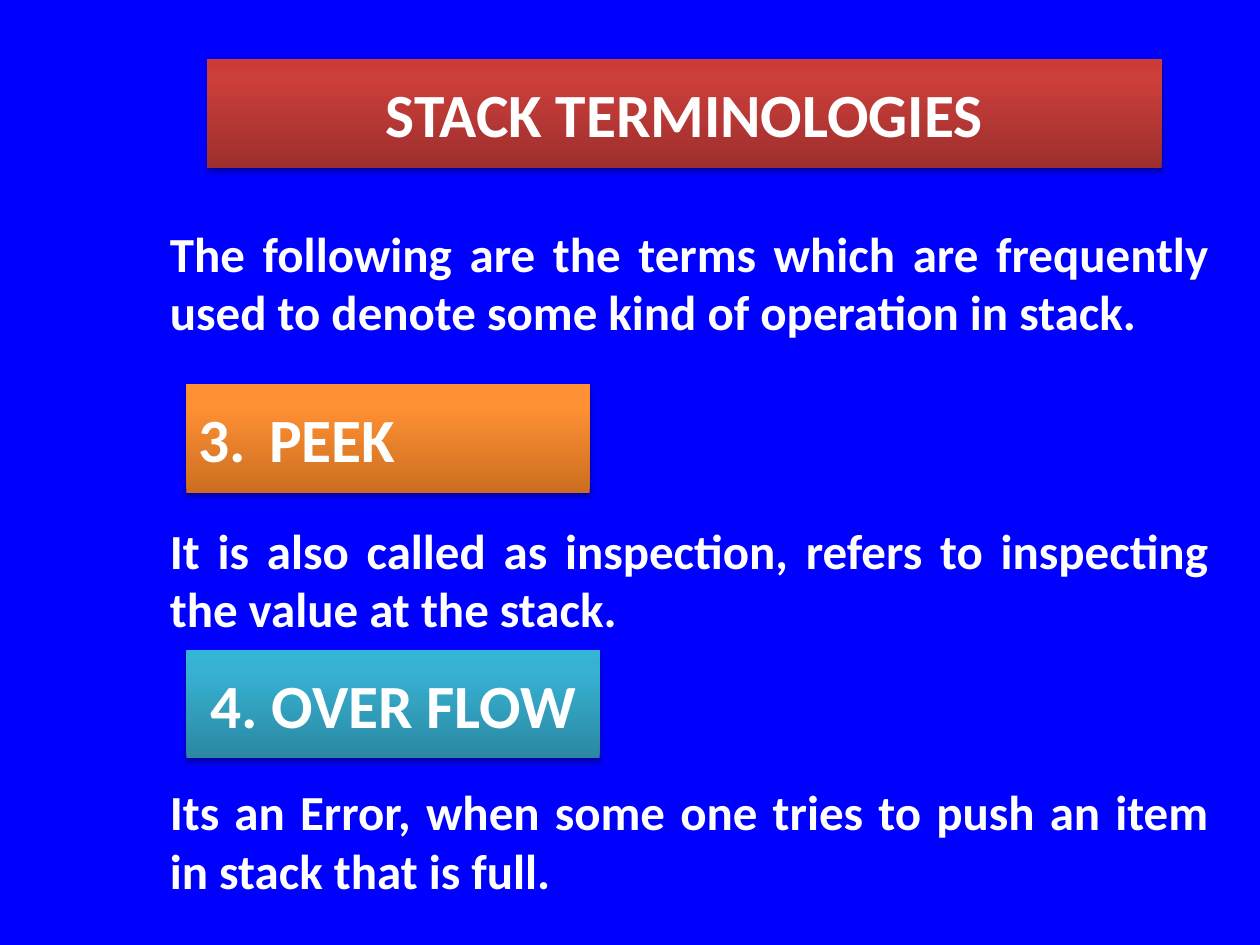
from dataclasses import dataclass

from lxml import etree
from pptx import Presentation, util as u
from pptx.dml.color import RGBColor
from pptx.enum import shapes, text
from pptx.oxml.ns import nsdecls

PX = 9144  # 100 px to the inch


@dataclass(frozen=True)
class Theme:
    font: str = "Calibri"
    page: str = "0000FF"
    ink: str = "FFFFFF"
    heading_size: float = 35.1
    body_size: float = 28
    # Gradient colours at 0, 80 and 100 percent, from the bottom up
    red: tuple = ("9C2F2D", "CB3E3A", "CE3B37")
    orange: tuple = ("CC6E20", "FF9034", "FF9136")
    teal: tuple = ("2A88A2", "37B1D2", "34B4D6")


THEME = Theme()


def px(length):
    return u.Emu(length * PX)


def place(shape, box):
    shape.left, shape.top, shape.width, shape.height = map(px, box)


def add_span(para, words, size):
    span = para.add_run()
    span.text = words
    span.font.name = THEME.font
    span.font.size = u.Pt(size)
    span.font.bold = True
    span.font.color.rgb = RGBColor.from_string(THEME.ink)


def paint_banner(shape, colours):
    """Give a shape an upward gradient, no outline and a soft shadow."""
    stops = "".join(
        f'<a:gs pos="{pos}"><a:srgbClr val="{colour}"/></a:gs>'
        for pos, colour in zip((0, 80000, 100000), colours))
    parts = (
        f'<a:gradFill {nsdecls("a")} rotWithShape="1"><a:gsLst>{stops}</a:gsLst>'
        '<a:lin ang="16200000" scaled="0"/></a:gradFill>',
        f'<a:ln {nsdecls("a")}><a:noFill/></a:ln>',
        f'<a:effectLst {nsdecls("a")}><a:outerShdw blurRad="40000" dist="23000" '
        'dir="5400000" rotWithShape="0"><a:srgbClr val="000000">'
        '<a:alpha val="35000"/></a:srgbClr></a:outerShdw></a:effectLst>',
    )
    for part in parts:
        shape._element.spPr.append(etree.fromstring(part))


def fill_banner(shape, box, words, colours, align):
    place(shape, box)
    paint_banner(shape, colours)
    frame = shape.text_frame
    frame.word_wrap = True
    frame.auto_size = text.MSO_AUTO_SIZE.NONE
    frame.vertical_anchor = text.MSO_ANCHOR.MIDDLE
    para = frame.paragraphs[0]
    para.alignment = align
    # Hanging indent: the tab after a number stops here
    hang = px(56)
    properties = para._p.get_or_add_pPr()
    properties.set("marL", str(hang))
    properties.set("indent", str(-hang))
    add_span(para, words, THEME.heading_size)


def add_term(page, box, words, colours, align):
    shape = page.shapes.add_shape(shapes.MSO_SHAPE.RECTANGLE, *map(px, box))
    fill_banner(shape, box, words, colours, align)


def add_body(page, box, passages):
    """Justified paragraphs, with gaps in points that leave room for banners."""
    frame = page.shapes.add_textbox(*map(px, box)).text_frame
    frame.word_wrap = True
    frame.margin_top = px(29)
    for number, (gap, words) in enumerate(passages):
        para = frame.add_paragraph() if number else frame.paragraphs[0]
        para.alignment = text.PP_ALIGN.JUSTIFY
        if gap:
            para.space_before = u.Pt(gap)
        add_span(para, words, THEME.body_size)


def build_terms_slide(deck):
    page = deck.slides.add_slide(deck.slide_layouts[5])
    page.background.fill.solid()
    page.background.fill.fore_color.rgb = RGBColor.from_string(THEME.page)
    align = text.PP_ALIGN

    # Title banner
    fill_banner(page.shapes.title, (164, 47, 758, 86), "STACK TERMINOLOGIES",
                THEME.red, align.CENTER)

    # Introduction and definitions
    add_body(page, (125, 148, 844, 571), (
        (0, "The following are the terms which are frequently used to denote "
            "some kind of operation in stack."),
        (102.5, "It is also called as inspection, refers to inspecting the "
                "value at the stack."),
        (82, "Its an Error, when some one tries to push an item in stack "
             "that is full."),
    ))

    # Term banners
    add_term(page, (148, 305, 320, 86), "3.\tPEEK", THEME.orange, align.LEFT)
    add_term(page, (148, 516, 328, 86), "4. OVER FLOW", THEME.teal, align.CENTER)


def main():
    deck = Presentation()
    deck.slide_width, deck.slide_height = px(1000), px(750)
    build_terms_slide(deck)
    deck.save("out.pptx")


if __name__ == "__main__":
    main()
